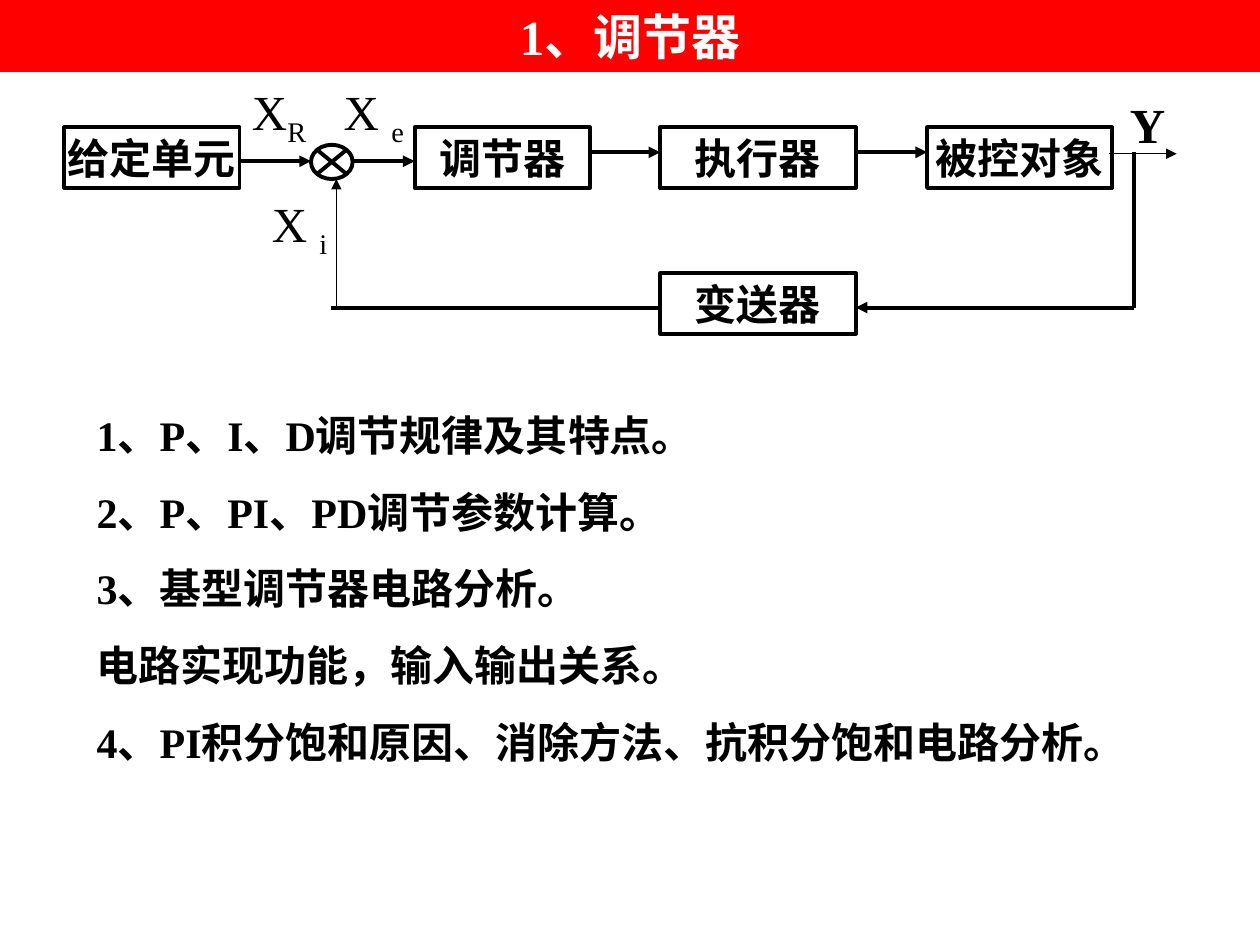
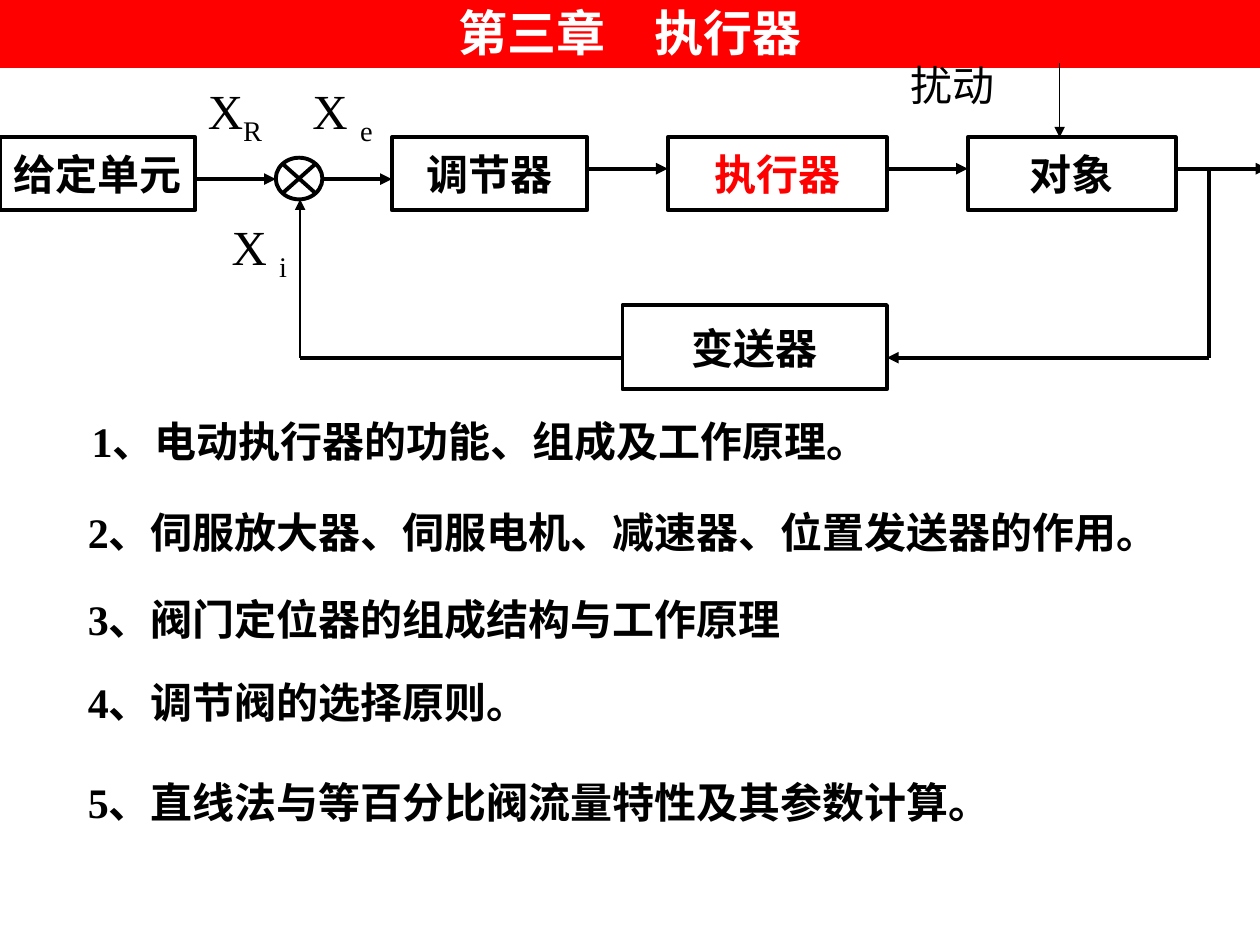
import pptx
import pptx.dml.color
import pptx.enum.dml
import pptx.enum.lang
import pptx.enum.shapes
import pptx.enum.text
import pptx.oxml
import pptx.oxml.ns
import pptx.util
from lxml import etree

Cm = pptx.util.Cm
Pt = pptx.util.Pt
RGB = pptx.dml.color.RGBColor.from_string
SHAPE = pptx.enum.shapes.MSO_SHAPE
ANCHOR = pptx.enum.text.MSO_ANCHOR
ALIGN = pptx.enum.text.PP_ALIGN

COLORS = {"band": "FF0000", "title": "FFFFFF", "ink": "000000", "highlight": "FF0000"}
THICK, THIN = 2.25, 0.75
CHINESE = pptx.enum.lang.MSO_LANGUAGE_ID.SIMPLIFIED_CHINESE
FONT = {"name": "Times New Roman", "language_id": CHINESE}
TITLE = FONT | {"size": Pt(28), "bold": True}
BODY = FONT | {"size": Pt(24), "bold": True}
NOTE = FONT | {"size": Pt(24), "bold": False}
SIGNAL = FONT | {"size": Pt(28), "bold": False}

# Positions in cm. Blocks run: setter, controller, actuator, plant, transmitter.
SLIDES = [
    {
        "title": "1、调节器", "title_top": 0,
        "blocks": [("给定单元", 1.3, 2.57, 3.53, 1.22, "ink"),
                   ("调节器", 8.36, 2.57, 3.53, 1.22, "ink"),
                   ("执行器", 13.31, 2.57, 3.94, 1.22, "ink"),
                   ("被控对象", 18.69, 2.57, 3.73, 1.22, "ink"),
                   ("变送器", 13.31, 5.51, 3.94, 1.22, "ink")],
        "junction": (6.27, 2.92, 0.84, 0.69),
        "input_y": 3.25, "forward_y": 3.07, "return_y": 6.2,
        "branch_x": 22.86, "return_x": 6.68, "feedback_x": 6.78,
        "extra_arrows": [(22.35, 3.1, 23.72, 3.1, THIN)],
        "labels": [("X", "R", 4.83, 1.52, 1.85, SIGNAL),
                   ("X ", "i", 5.23, 3.78, 1.85, SIGNAL),
                   ("X ", "e", 6.68, 1.52, 1.85, SIGNAL),
                   ("Y", "", 22.53, 1.78, 1.85, TITLE)],
        "texts": [(1.7, 8.13, 21.82, 7.47, [
            "1、P、I、D调节规律及其特点。",
            "2、P、PI、PD调节参数计算。",
            "3、基型调节器电路分析。",
            "电路实现功能，输入输出关系。",
            "4、PI积分饱和原因、消除方法、抗积分饱和电路分析。"])],
    },
    {
        "title": "第三章　执行器", "title_top": -0.08,
        "blocks": [("给定单元", 0, 2.77, 3.94, 1.47, "ink"),
                   ("调节器", 7.9, 2.77, 3.94, 1.47, "ink"),
                   ("执行器", 13.46, 2.77, 4.42, 1.47, "highlight"),
                   ("对象", 19.51, 2.77, 4.19, 1.47, "ink"),
                   ("变送器", 12.55, 6.15, 5.33, 1.7, "ink")],
        "junction": (5.56, 3.18, 0.94, 0.84),
        "input_y": 3.61, "forward_y": 3.4, "return_y": 7.21,
        "branch_x": 24.38, "return_x": 6.05, "feedback_x": 6.05,
        "extra_arrows": [(23.7, 3.4, 25.55, 3.4, THICK), (21.36, 1.27, 21.36, 2.77, THIN)],
        "labels": [("X", "R", 3.94, 1.5, 2.08, SIGNAL),
                   ("X ", "i", 4.42, 4.24, 2.08, SIGNAL),
                   ("X ", "e", 6.05, 1.5, 2.08, SIGNAL),
                   ("扰动", "", 18.11, 1.07, 3.25, NOTE)],
        "texts": [(1.6, 8.26, 22, 1.27, ["1、电动执行器的功能、组成及工作原理。"]),
                  (1.52, 10.08, 22.81, 1.27, ["2、伺服放大器、伺服电机、减速器、位置发送器的作用。"]),
                  (1.52, 11.84, 17.12, 1.27, ["3、阀门定位器的组成结构与工作原理"]),
                  (1.52, 13.51, 12.73, 1.27, ["4、调节阀的选择原则。"]),
                  (1.52, 15.52, 22.07, 1.27, ["5、直线法与等百分比阀流量特性及其参数计算。"])],
    },
]


def write(box, lines, font, color="ink", align=ALIGN.LEFT, anchor=ANCHOR.TOP, wrap=True, subscript=""):
    """Fill a box with one paragraph per line; a subscript follows the last one."""
    frame = box.text_frame
    frame.word_wrap = wrap
    frame.vertical_anchor = anchor
    for index, line in enumerate(lines):
        para = frame.add_paragraph() if index else frame.paragraphs[0]
        para.alignment = align
        if index:
            para.space_before = Pt(15)
        para.add_run().text = line
    if subscript:
        span = para.add_run()
        span.text = subscript
        span._r.get_or_add_rPr().set("baseline", "-25000")
    for para in frame.paragraphs:
        for span in para.runs:
            for name, value in font.items():
                setattr(span.font, name, value)
            span.font.color.rgb = RGB(COLORS[color])


def connect(page, x1, y1, x2, y2, width=THICK, arrow=True):
    line = page.shapes.add_connector(
        pptx.enum.shapes.MSO_CONNECTOR.STRAIGHT, Cm(x1), Cm(y1), Cm(x2), Cm(y2))
    line.line.color.rgb = RGB(COLORS["ink"])
    line.line.width = Pt(width)
    if arrow:
        outline = line.line._get_or_add_ln()
        etree.SubElement(outline, pptx.oxml.ns.qn("a:tailEnd"), type="triangle")
    etree.SubElement(line._element.spPr, pptx.oxml.ns.qn("a:effectLst"))


deck = pptx.Presentation()
deck.slide_width, deck.slide_height = Cm(25.4), Cm(19.05)

for content in SLIDES:
    page = deck.slides.add_slide(deck.slide_layouts[6])

    band = page.shapes.add_shape(
        SHAPE.RECTANGLE, 0, Cm(content["title_top"]), deck.slide_width, Cm(1.45))
    band.shadow.inherit = False
    band.fill.solid()
    band.fill.fore_color.rgb = RGB(COLORS["band"])
    band.line.fill.background()
    write(band, [content["title"]], TITLE, "title", ALIGN.CENTER)

    for left, top, width, height, lines in content["texts"]:
        box = page.shapes.add_textbox(Cm(left), Cm(top), Cm(width), Cm(height))
        write(box, lines, BODY)

    parts = [(SHAPE.RECTANGLE, *block) for block in content["blocks"]]
    parts.append((SHAPE.FLOWCHART_SUMMING_JUNCTION, "", *content["junction"], "ink"))
    for kind, name, left, top, width, height, color in parts:
        box = page.shapes.add_shape(kind, Cm(left), Cm(top), Cm(width), Cm(height))
        box.shadow.inherit = False
        box.fill.background()
        box.line.color.rgb = RGB(COLORS["ink"])
        box.line.width = Pt(THICK)
        if name:
            write(box, [name], BODY, color, ALIGN.CENTER, ANCHOR.MIDDLE, wrap=False)

    # Forward path: each arrow joins the right edge of a part to the next left edge
    edges = [(left, left + width) for _, left, _, width, _, _ in content["blocks"]]
    setter, controller, actuator, plant, transmitter = edges
    left, top, width, height = content["junction"]
    junction = (left, left + width)
    for start, end, level in [(setter, junction, "input_y"),
                              (junction, controller, "input_y"),
                              (controller, actuator, "forward_y"),
                              (actuator, plant, "forward_y")]:
        connect(page, start[1], content[level], end[0], content[level])
    for arrow in content["extra_arrows"]:
        connect(page, *arrow)

    # Feedback path: down the branch, through the transmitter, up to the junction
    branch_x, return_y = content["branch_x"], content["return_y"]
    feedback_x = content["feedback_x"]
    connect(page, branch_x, content["forward_y"], branch_x, return_y, arrow=False)
    connect(page, branch_x, return_y, transmitter[1], return_y)
    connect(page, transmitter[0], return_y, content["return_x"], return_y, arrow=False)
    connect(page, feedback_x, return_y, feedback_x, top + height, THIN)

    for text, subscript, left, top, width, font in content["labels"]:
        box = page.shapes.add_textbox(Cm(left), Cm(top), Cm(width), Cm(1.6))
        write(box, [text], font, subscript=subscript)

deck.save("out.pptx")
